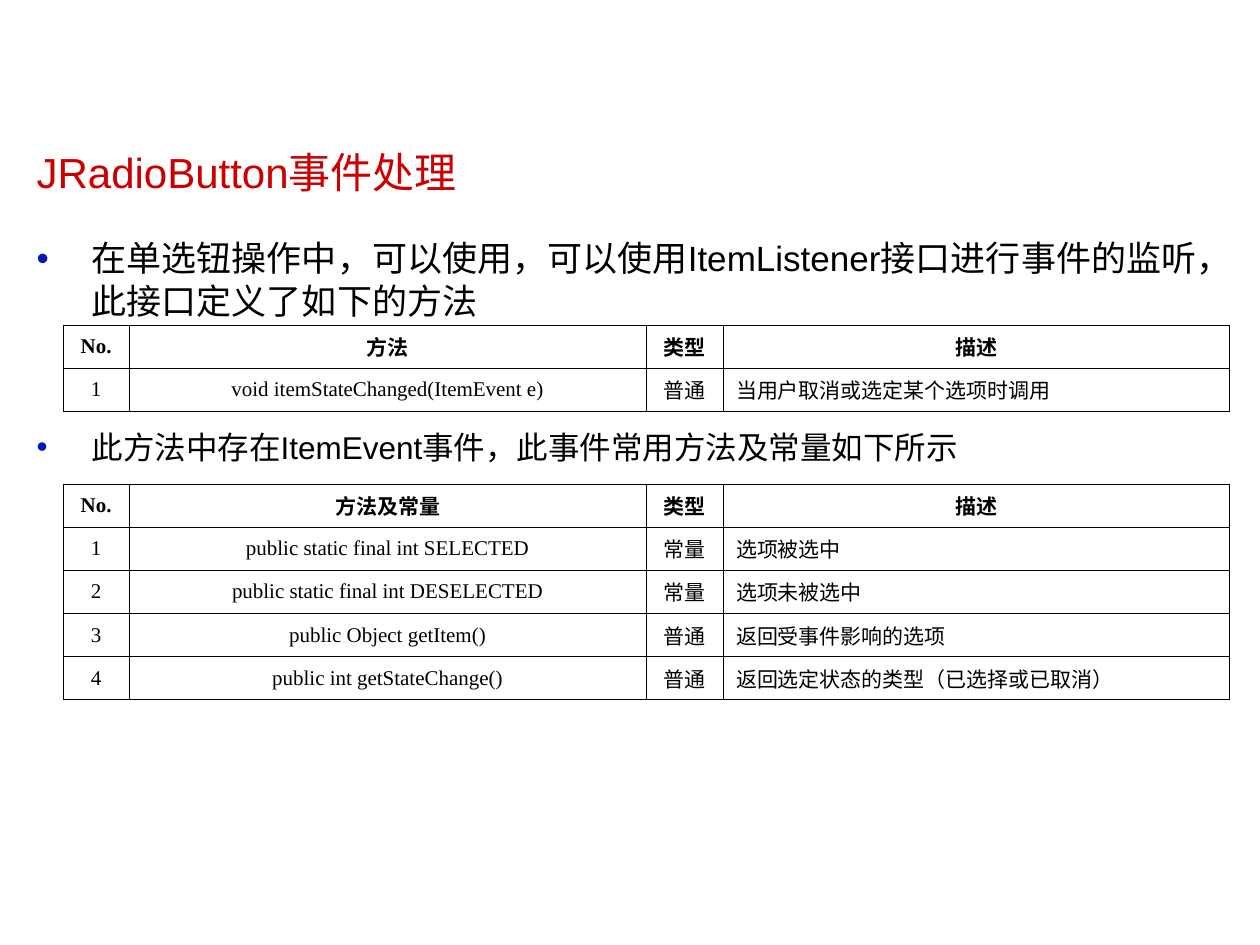
from lxml import etree
from pptx import Presentation
from pptx.dml.color import RGBColor
from pptx.enum.text import MSO_ANCHOR, MSO_AUTO_SIZE, PP_ALIGN
from pptx.oxml.ns import qn
from pptx.util import Pt

LEFT, CENTER = PP_ALIGN.LEFT, PP_ALIGN.CENTER
MIDDLE, TOP = MSO_ANCHOR.MIDDLE, MSO_ANCHOR.TOP
NO_FIT = MSO_AUTO_SIZE.NONE

THEME = {
    "red": RGBColor(0xCC, 0x00, 0x00),
    "blue": RGBColor(0x05, 0x1A, 0xB3),
    "black": RGBColor(0, 0, 0),
    "white": RGBColor(255, 255, 255),
    "sans": "Arial",
    "serif": "Times New Roman",
    "title": Pt(24),
    "lead": Pt(20),
    "point": Pt(18),
    "cell": Pt(12),
    "rule": Pt(0.45),
}


def style(font, color, **values):
    font.color.rgb = THEME[color]
    for name, value in values.items():
        setattr(font, name, value)


def add_child(parent, tag, **attrs):
    return etree.SubElement(parent, qn(tag), attrs)


deck = Presentation()
deck.slide_width, deck.slide_height = Pt(720), Pt(540)
slide = deck.slides.add_slide(deck.slide_layouts[1])
title, body = slide.placeholders

# Title and body frames
for shape, box, anchor in (
    (title, (13.7, 69.1, 689, 62), MIDDLE),
    (body, (13.7, 131.8, 688.3, 351.4), TOP),
):
    shape.left, shape.top, shape.width, shape.height = map(Pt, box)
    frame = shape.text_frame
    frame.auto_size, frame.vertical_anchor = NO_FIT, anchor

title.text_frame.text = "JRadioButton事件处理"
head = title.text_frame.paragraphs[0]
head.alignment, head.line_spacing = LEFT, 0.9
style(head.font, "red", size=THEME["title"], name=THEME["sans"])

# Bullets: the second one leaves room for the first table
points = [
    ("在单选钮操作中，可以使用，可以使用ItemListener接口进行事件的监听，此接口定义了如下的方法",
     "lead", 0, 5),
    ("此方法中存在ItemEvent事件，此事件常用方法及常量如下所示", "point", 56, 4.5),
]
body.text_frame.text = "\n".join(point[0] for point in points)
for para, (_, size, before, after) in zip(body.text_frame.paragraphs, points):
    props = para._p.get_or_add_pPr()
    props.set("marL", str(Pt(31.5)))
    props.set("indent", str(-Pt(31.5)))
    color = add_child(props, "a:buClr")
    add_child(color, "a:srgbClr", val=str(THEME["blue"]))
    add_child(props, "a:buFont", typeface=THEME["sans"])
    add_child(props, "a:buChar", char="•")
    para.space_before, para.space_after = Pt(before), Pt(after)
    style(para.font, "black", size=THEME[size], name=THEME["sans"])

# Tables
WIDTHS = [37.5, 295.75, 44, 289.25]
ROW = 21.6
grids = [
    (185.8, [
        ("No.", "方法", "类型", "描述"),
        ("1", "void itemStateChanged(ItemEvent e)", "普通", "当用户取消或选定某个选项时调用"),
    ]),
    (276.6, [
        ("No.", "方法及常量", "类型", "描述"),
        ("1", "public static final int SELECTED", "常量", "选项被选中"),
        ("2", "public static final int DESELECTED", "常量", "选项未被选中"),
        ("3", "public Object getItem()", "普通", "返回受事件影响的选项"),
        ("4", "public int getStateChange()", "普通", "返回选定状态的类型（已选择或已取消）"),
    ]),
]
for top, rows in grids:
    table = slide.shapes.add_table(
        len(rows), len(WIDTHS), Pt(36.2), Pt(top),
        Pt(sum(WIDTHS)), Pt(ROW * len(rows))).table
    table.first_row = table.horz_banding = False
    for col, width in zip(table.columns, WIDTHS):
        col.width = Pt(width)
    for r, row in enumerate(rows):
        table.rows[r].height = Pt(ROW)
        for c, text in enumerate(row):
            cell = table.cell(r, c)
            cell.text, cell.vertical_anchor = text, MIDDLE
            para = cell.text_frame.paragraphs[0]
            para.alignment = LEFT if r and c == 3 else CENTER
            style(para.font, "black", size=THEME["cell"],
                  name=THEME["serif"], bold=r == 0)
            props = cell._tc.get_or_add_tcPr()
            for side in "LRTB":
                line = add_child(props, f"a:ln{side}", w=str(THEME["rule"]))
                fill = add_child(line, "a:solidFill")
                add_child(fill, "a:srgbClr", val=str(THEME["black"]))
            cell.fill.solid()
            cell.fill.fore_color.rgb = THEME["white"]

deck.save("out.pptx")
